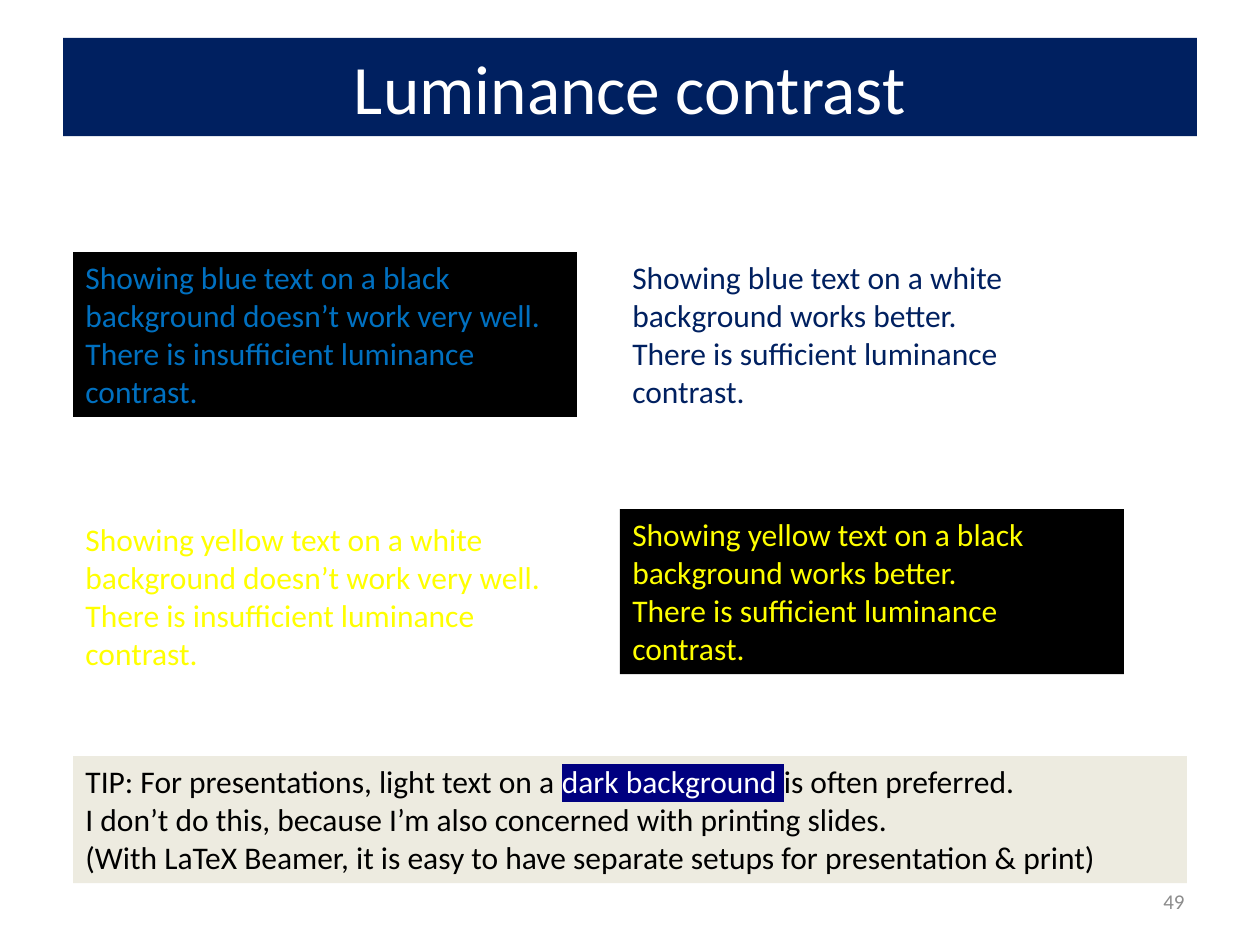
from dataclasses import dataclass

from lxml import etree
from pptx import Presentation
from pptx import util as u
from pptx.dml.color import RGBColor
from pptx.enum import shapes, text
from pptx.oxml.ns import qn


@dataclass(frozen=True)
class Theme:
    font: str = "Calibri"
    title_size: float = 39.6
    body_size: float = 18
    number_size: float = 12
    white: str = "FFFFFF"
    black: str = "000000"
    navy: str = "002060"
    blue: str = "0070C0"
    yellow: str = "FFFF00"
    gray: str = "8C8C8C"
    sand: str = "DDD9C3"
    highlight: str = "000080"


THEME = Theme()
WIDTH, HEIGHT = 10, 7.5
LEFT, TOP = 0.58, 2
COLUMN_STEP, ROW_STEP = 4.34, 2.04
SAMPLE_SIZE = (4, 1.31)
WHITE_YELLOW_DROP = 0.04

TITLE = "Luminance contrast"
PAGE_NUMBER = "49"
POOR = "There is insufficient luminance contrast."
GOOD = "There is sufficient luminance contrast."
SAMPLES = [
    (0, 0, 0, THEME.blue, THEME.black,
     ["Showing blue text on a black background doesn’t work very well.", POOR]),
    (1, 0, 0, THEME.navy, None,
     ["Showing blue text on a white background works better.", GOOD]),
    (0, 1, WHITE_YELLOW_DROP, THEME.yellow, None,
     ["Showing yellow text on a white background doesn’t work very well.", POOR]),
    (1, 1, 0, THEME.yellow, THEME.black,
     ["Showing yellow text on a black background works better.", GOOD]),
]
MARKED = "dark background "
TIP = [
    ["TIP: For presentations, light text on a ", MARKED, "is often preferred."],
    ["I don’t do this, because I’m also concerned with printing slides."],
    ["(With LaTeX Beamer, it is easy to have separate setups for presentation & print)"],
]


def set_all(target, values):
    for name, value in values.items():
        setattr(target, name, value)


def place(shape, left, top, width, height):
    box = dict(left=left, top=top, width=width, height=height)
    set_all(shape, {name: u.Inches(value) for name, value in box.items()})


def paint(shape, color, opacity=None):
    shape.fill.solid()
    shape.fill.fore_color.rgb = RGBColor.from_string(color)
    if opacity:
        color_element = shape.element.spPr.find(qn("a:solidFill"))[0]
        etree.SubElement(color_element, qn("a:alpha"), val=str(opacity * 1000))


def mark(run, color):
    highlight = etree.Element(qn("a:highlight"))
    etree.SubElement(highlight, qn("a:srgbClr"), val=color)
    run.font._element.find(qn("a:solidFill")).addnext(highlight)


def write(shape, paragraphs, color, size, align=text.PP_ALIGN.LEFT,
          anchor=text.MSO_ANCHOR.TOP, fit=text.MSO_AUTO_SIZE.NONE):
    frame = shape.text_frame
    set_all(frame, dict(word_wrap=True, auto_size=fit, vertical_anchor=anchor))
    for index, parts in enumerate(paragraphs):
        paragraph = frame.add_paragraph() if index else frame.paragraphs[0]
        paragraph.alignment = align
        for part in parts:
            run = paragraph.add_run()
            run.text = part
            set_all(run.font, dict(name=THEME.font, size=u.Pt(size)))
            marked = part == MARKED
            run.font.color.rgb = RGBColor.from_string(THEME.white if marked else color)
            if marked:
                mark(run, THEME.highlight)


def add_panel(slide, box, fill=None, opacity=None):
    lengths = [u.Inches(value) for value in box]
    if not fill:
        return slide.shapes.add_textbox(*lengths)
    shape = slide.shapes.add_shape(shapes.MSO_SHAPE.RECTANGLE, *lengths)
    shape.shadow.inherit = False
    shape.line.fill.background()
    paint(shape, fill, opacity)
    return shape


def main():
    presentation = Presentation()
    set_all(presentation, dict(slide_width=u.Inches(WIDTH), slide_height=u.Inches(HEIGHT)))
    slide = presentation.slides.add_slide(presentation.slide_layouts[5])
    middle = text.MSO_ANCHOR.MIDDLE
    grow = text.MSO_AUTO_SIZE.SHAPE_TO_FIT_TEXT

    title = slide.shapes.title
    place(title, WIDTH * 0.05, HEIGHT * 0.04, WIDTH * 0.9, 0.78)
    paint(title, THEME.navy)
    write(title, [[TITLE]], THEME.white, THEME.title_size, text.PP_ALIGN.CENTER, middle)

    number = add_panel(slide, (7.17, 6.95, 2.33, 0.4))
    write(number, [[PAGE_NUMBER]], THEME.gray, THEME.number_size, text.PP_ALIGN.RIGHT, middle)

    for column, row, drop, color, fill, lines in SAMPLES:
        corner = (LEFT + column * COLUMN_STEP, TOP + row * ROW_STEP + drop)
        panel = add_panel(slide, corner + SAMPLE_SIZE, fill)
        write(panel, [[line] for line in lines], color, THEME.body_size, fit=grow)

    tip = add_panel(slide, (LEFT, HEIGHT * 0.8, WIDTH - 2 * LEFT, 1.01), THEME.sand, 50)
    write(tip, TIP, THEME.black, THEME.body_size, fit=grow)

    presentation.save("out.pptx")


if __name__ == "__main__":
    main()
